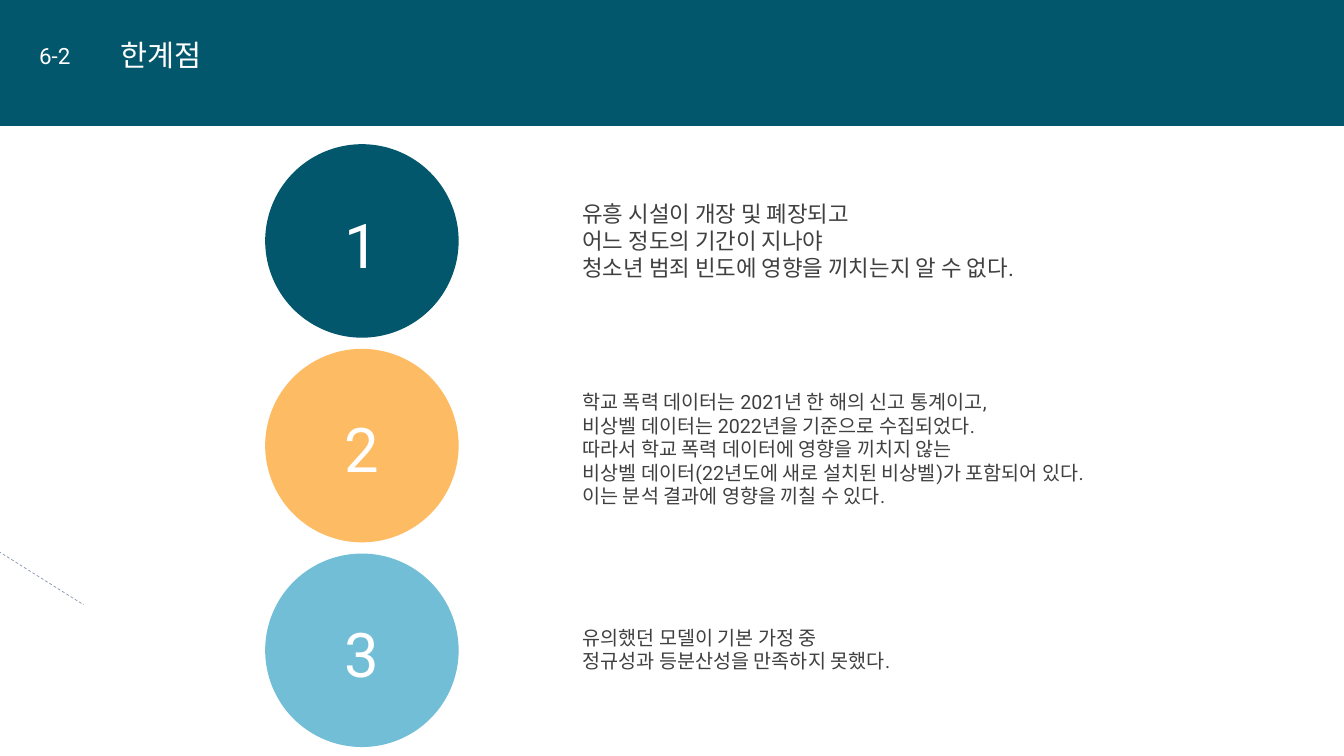
from lxml import etree
from pptx import Presentation
from pptx.dml.color import RGBColor
from pptx.enum import dml, shapes, text
from pptx.oxml.ns import qn
from pptx.util import Pt

SECTION = "6-2"
TITLE = "한계점"
# Each limitation: number, circle colour, text size, (top, width, height), lines
LIMITATIONS = [
    ("1", "teal", "large", (139.7, 377.3, 65.5), [
        "유흥 시설이 개장 및 폐장되고 ",
        "어느 정도의 기간이 지나야 ",
        "청소년 범죄 빈도에 영향을 끼치는지 알 수 없다.",
    ]),
    ("2", "orange", "body", (275, 417.6, 92.2), [
        "학교 폭력 데이터는 2021년 한 해의 신고 통계이고, ",
        "비상벨 데이터는 2022년을 기준으로 수집되었다. ",
        "따라서 학교 폭력 데이터에 영향을 끼치지 않는 ",
        "비상벨 데이터(22년도에 새로 설치된 비상벨)가 포함되어 있다.",
        "이는 분석 결과에 영향을 끼칠 수 있다. ",
    ]),
    ("3", "sky", "body", (443.5, 285.1, 41), [
        "유의했던 모델이 기본 가정 중 ",
        "정규성과 등분산성을 만족하지 못했다.",
    ]),
]

THEME = {
    "font": "Roboto",
    "colors": {"teal": "02576C", "orange": "FDBB63", "sky": "71BED6",
               "white": "FFFFFF", "ink": "404040", "dash": "8497B0"},
    "sizes": {"number": 44, "title": 21, "large": 16, "body": 14},
}

SLIDE_W, SLIDE_H = 960, 540
HEADER_H = 90
CIRCLE_LEFT, CIRCLE_TOP, CIRCLE_D, CIRCLE_PITCH = 189.4, 103, 138.2, 146.2
NUMBER_W, NUMBER_H, NUMBER_DROP = 40, 60.5, 41
TEXT_LEFT = 409


def color(name):
    return RGBColor.from_string(THEME["colors"][name])


def add_filled(slide, kind, left, top, width, height, fill):
    filled = slide.shapes.add_shape(kind, Pt(left), Pt(top), Pt(width), Pt(height))
    filled.shadow.inherit = False
    filled.fill.solid()
    filled.fill.fore_color.rgb = color(fill)
    filled.line.fill.background()


def add_text(slide, lines, left, top, width, height, *, size, ink="white",
             align=text.PP_ALIGN.LEFT, wrap=False):
    frame = slide.shapes.add_textbox(Pt(left), Pt(top), Pt(width), Pt(height)).text_frame
    frame.word_wrap = wrap
    frame.auto_size = text.MSO_AUTO_SIZE.SHAPE_TO_FIT_TEXT
    for i, line in enumerate(lines):
        paragraph = frame.add_paragraph() if i else frame.paragraphs[0]
        paragraph.alignment = align
        run = paragraph.add_run()
        run.text = line
        run.font.name = THEME["font"]
        run.font.size = Pt(THEME["sizes"][size])
        run.font.color.rgb = color(ink)


def add_dashed_line(slide, x1, y1, x2, y2):
    dashed = slide.shapes.add_connector(
        shapes.MSO_CONNECTOR.STRAIGHT, Pt(x1), Pt(y1), Pt(x2), Pt(y2))
    dashed.line.color.rgb = color("dash")
    dashed.line.width = Pt(0.5)
    dashed.line.dash_style = dml.MSO_LINE.DASH
    etree.SubElement(dashed._element.spPr, qn("a:effectLst"))


def main():
    deck = Presentation()
    deck.slide_width, deck.slide_height = Pt(SLIDE_W), Pt(SLIDE_H)
    slide = deck.slides.add_slide(deck.slide_layouts[6])

    add_filled(slide, shapes.MSO_SHAPE.RECTANGLE, 0, 0, SLIDE_W, HEADER_H, "teal")
    add_text(slide, [SECTION], 20.9, 26.6, 45.4, 26.6, size="large")
    add_text(slide, [TITLE], 79.2, 23, 77, 32.4, size="title")
    add_dashed_line(slide, -25.2, 378.7, 59.8, 432)

    for i, (number, fill, size, (top, width, height), lines) in enumerate(LIMITATIONS):
        circle_top = CIRCLE_TOP + i * CIRCLE_PITCH
        add_filled(slide, shapes.MSO_SHAPE.OVAL, CIRCLE_LEFT, circle_top,
                   CIRCLE_D, CIRCLE_D, fill)
        add_text(slide, [number], CIRCLE_LEFT + (CIRCLE_D - NUMBER_W) / 2,
                 circle_top + NUMBER_DROP, NUMBER_W, NUMBER_H,
                 size="number", align=text.PP_ALIGN.CENTER)
        add_text(slide, lines, TEXT_LEFT, top, width, height, size=size, ink="ink",
                 align=text.PP_ALIGN.JUSTIFY, wrap=True)

    deck.save("out.pptx")


if __name__ == "__main__":
    main()
